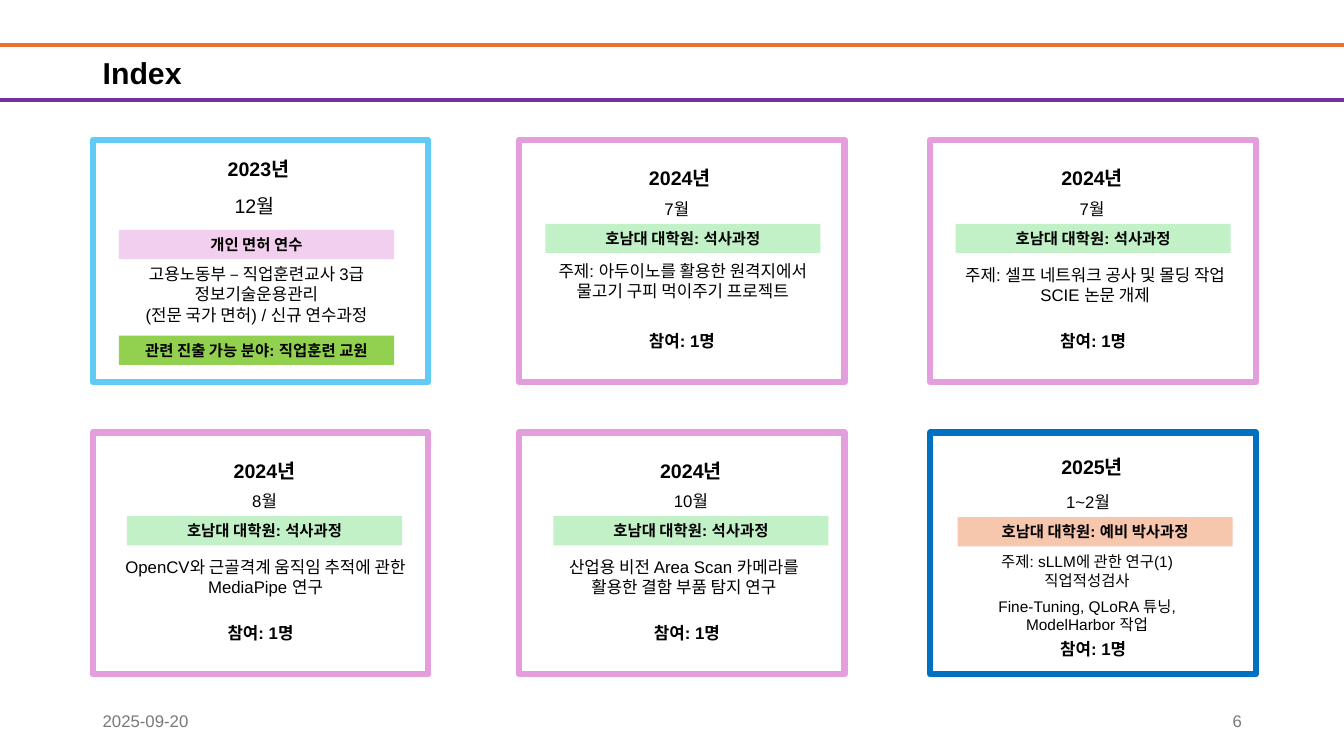
from lxml import etree
from pptx import Presentation
from pptx.dml.color import RGBColor
from pptx.enum.shapes import MSO_CONNECTOR, MSO_SHAPE
from pptx.enum.text import MSO_ANCHOR, MSO_AUTO_SIZE, PP_ALIGN
from pptx.oxml.ns import qn
from pptx.util import Inches, Pt

LEFT, CENTER, RIGHT = PP_ALIGN.LEFT, PP_ALIGN.CENTER, PP_ALIGN.RIGHT
TOP, MIDDLE = MSO_ANCHOR.TOP, MSO_ANCHOR.MIDDLE
GROW, FIXED = MSO_AUTO_SIZE.SHAPE_TO_FIT_TEXT, MSO_AUTO_SIZE.NONE
STRAIGHT, RECTANGLE = MSO_CONNECTOR.STRAIGHT, MSO_SHAPE.RECTANGLE

COLUMNS, ROWS = 160, 90
CARD_COLUMNS = (11.04, 61.8, 110.76)
CARD_ROWS = (16.68, 51.48)
CARD_WIDTHS = (39.96, 38.76, 38.76)
CARD_HEIGHT = 28.8
TEXT_WIDTH = 38.76

PINK, SKY, BLUE = "E59EDD", "61CBF4", "0070C0"
MINT, LILAC, LIME, PEACH = "C2F1C8", "F2CFEE", "92D050", "F6C6AD"
GRAY = "797979"
MASTER = "호남대 대학원: 석사과정"
PEOPLE = "참여: 1명"


def color(value):
    return RGBColor.from_string(value)


class IndexSlide:
    """Draws on one slide, with lengths in grid columns and rows."""

    font = "Arial"
    ink = "000000"

    def __init__(self, deck):
        self.column = deck.slide_width / COLUMNS
        self.row = deck.slide_height / ROWS
        self.shapes = deck.slides.add_slide(deck.slide_layouts[6]).shapes

    def area(self, left, top, width, height):
        return (round(left * self.column), round(top * self.row),
                round(width * self.column), round(height * self.row))

    def fill_text(self, box, text, size, bold, align, anchor, ink, fit):
        frame = box.text_frame
        frame.word_wrap = True
        frame.auto_size = fit
        frame.vertical_anchor = anchor
        frame.text = text
        for para in frame.paragraphs:
            para.alignment = align
            para.font.name = self.font
            para.font.size = Pt(size)
            para.font.bold = bold
            para.font.color.rgb = color(ink)

    def text(self, left, top, width, height, text, size, bold=False,
             align=CENTER, anchor=TOP, ink=ink, fit=GROW):
        box = self.shapes.add_textbox(*self.area(left, top, width, height))
        self.fill_text(box, text, size, bold, align, anchor, ink, fit)

    def rectangle(self, left, top, width, height):
        box = self.shapes.add_shape(RECTANGLE, *self.area(left, top, width, height))
        box.shadow.inherit = False
        return box

    def frame(self, left, top, width, outline):
        box = self.rectangle(left, top, width, CARD_HEIGHT)
        box.fill.background()
        box.line.color.rgb = color(outline)
        box.line.width = Pt(4.5)

    def band(self, left, top, text, fill):
        box = self.rectangle(left, top, 32.76, 3.48)
        box.fill.solid()
        box.fill.fore_color.rgb = color(fill)
        box.line.fill.background()
        self.fill_text(box, text, 11, True, CENTER, TOP, self.ink, GROW)

    def rule(self, row, ink):
        """Draw a horizontal line across the whole slide."""
        left, top, width, _ = self.area(0, row, COLUMNS, 0)
        line = self.shapes.add_connector(STRAIGHT, left, top, left + width, top)
        line.line.color.rgb = color(ink)
        line.line.width = Pt(3)
        etree.SubElement(line._element.spPr, qn("a:effectLst"))

    def card(self, position, outline, year, month, bands, topics, people=None):
        """Draw a framed card; its items are placed from the frame's corner."""
        row, column = divmod(position, len(CARD_COLUMNS))
        left, top = CARD_COLUMNS[column], CARD_ROWS[row]
        self.frame(left, top, CARD_WIDTHS[column], outline)
        across, down, text = year
        self.text(left + across, top + down, 23.28, 4.08, text, 14, True, LEFT)
        across, down, text, size = month
        self.text(left + across, top + down, TEXT_WIDTH, 3.6, text, size)
        for across, down, text, fill in bands:
            self.band(left + across, top + down, text, fill)
        for across, down, text, size in topics:
            self.text(left + across, top + down, TEXT_WIDTH, 6, text, size)
        if people:
            across, down = people
            self.text(left + across, top + down, TEXT_WIDTH, 3.6, PEOPLE, 12, True)


CARDS = [
    dict(outline=SKY, year=(14.88, 1.44, "2023년"), month=(-0.12, 5.76, "12월", 14),
         bands=[(3.12, 10.68, "개인 면허 연수", LILAC),
                (3.12, 23.28, "관련 진출 가능 분야: 직업훈련 교원", LIME)],
         topics=[(0.12, 14.16, "고용노동부 – 직업훈련교사 3급\v정보기술운용관리\v"
                  "(전문 국가 면허) / 신규 연수과정", 12)]),
    dict(outline=PINK, year=(14.28, 2.52, "2024년"), month=(-0.6, 6.36, "7월", 12),
         bands=[(3.12, 9.96, MASTER, MINT)],
         topics=[(0.12, 13.8, "주제: 아두이노를 활용한 원격지에서\n"
                  "물고기 구피 먹이주기 프로젝트", 12)],
         people=(0, 22.08)),
    dict(outline=PINK, year=(14.4, 2.52, "2024년"), month=(-0.12, 6.36, "7월", 12),
         bands=[(3, 9.96, MASTER, MINT)],
         topics=[(0.24, 14.28, "주제: 셀프 네트워크 공사 및 몰딩 작업\n"
                  "SCIE 논문 개제", 12)],
         people=(0, 22.08)),
    dict(outline=PINK, year=(15.6, 2.52, "2024년"), month=(1.08, 6.36, "8월", 12),
         bands=[(4.08, 9.96, MASTER, MINT)],
         topics=[(1.2, 14.16, "OpenCV와 근골격계 움직임 추적에 관한 MediaPipe 연구", 12)],
         people=(0.6, 22.08)),
    dict(outline=PINK, year=(15.6, 2.52, "2024년"), month=(1.08, 6.36, "10월", 12),
         bands=[(4.08, 9.96, MASTER, MINT)],
         topics=[(0.24, 14.16, "산업용 비전 Area Scan 카메라를\n"
                  "활용한 결함 부품 탐지 연구", 12)],
         people=(0.6, 22.08)),
    dict(outline=BLUE, year=(14.4, 2.04, "2025년"), month=(-0.6, 6.48, "1~2월", 12),
         bands=[(3.24, 10.08, "호남대 대학원: 예비 박사과정", PEACH)],
         topics=[(-0.72, 13.68, "주제: sLLM에 관한 연구(1)\n직업적성검사", 11),
                 (-0.72, 18.96, "Fine-Tuning, QLoRA 튜닝,\nModelHarbor 작업", 11)],
         people=(0, 24)),
]


def main():
    deck = Presentation()
    deck.slide_width, deck.slide_height = Inches(13.33), Inches(7.5)
    page = IndexSlide(deck)
    page.rule(5.33, "E97132")
    page.rule(11.92, "7030A0")
    page.text(11.04, 5.88, 138, 5.4, "Index", 21.6, True, LEFT, MIDDLE, fit=FIXED)
    for left, text, align in ((11.04, "2025-09-20", LEFT), (113.04, "6", RIGHT)):
        page.text(left, 83.4, 36, 4.8, text, 12, False, align, MIDDLE, GRAY, FIXED)
    for position, card in enumerate(CARDS):
        page.card(position, **card)
    deck.save("out.pptx")


if __name__ == "__main__":
    main()
